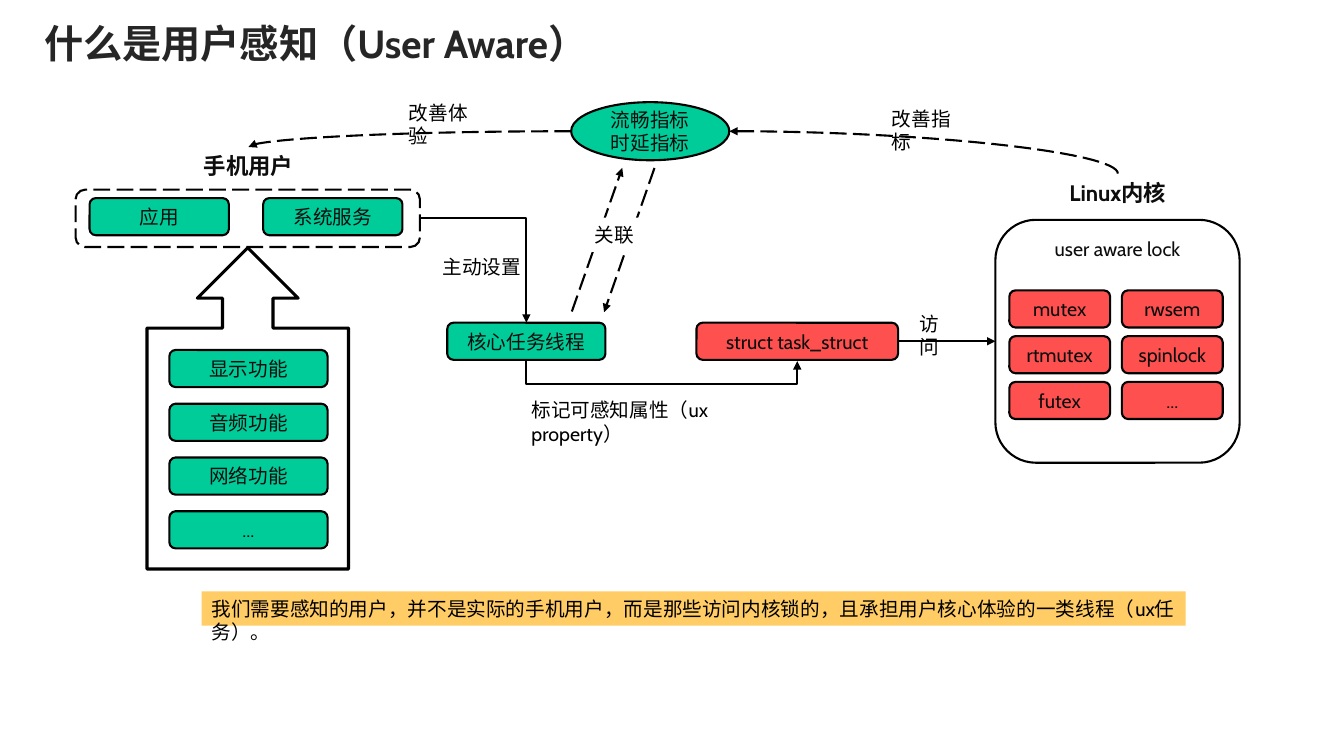
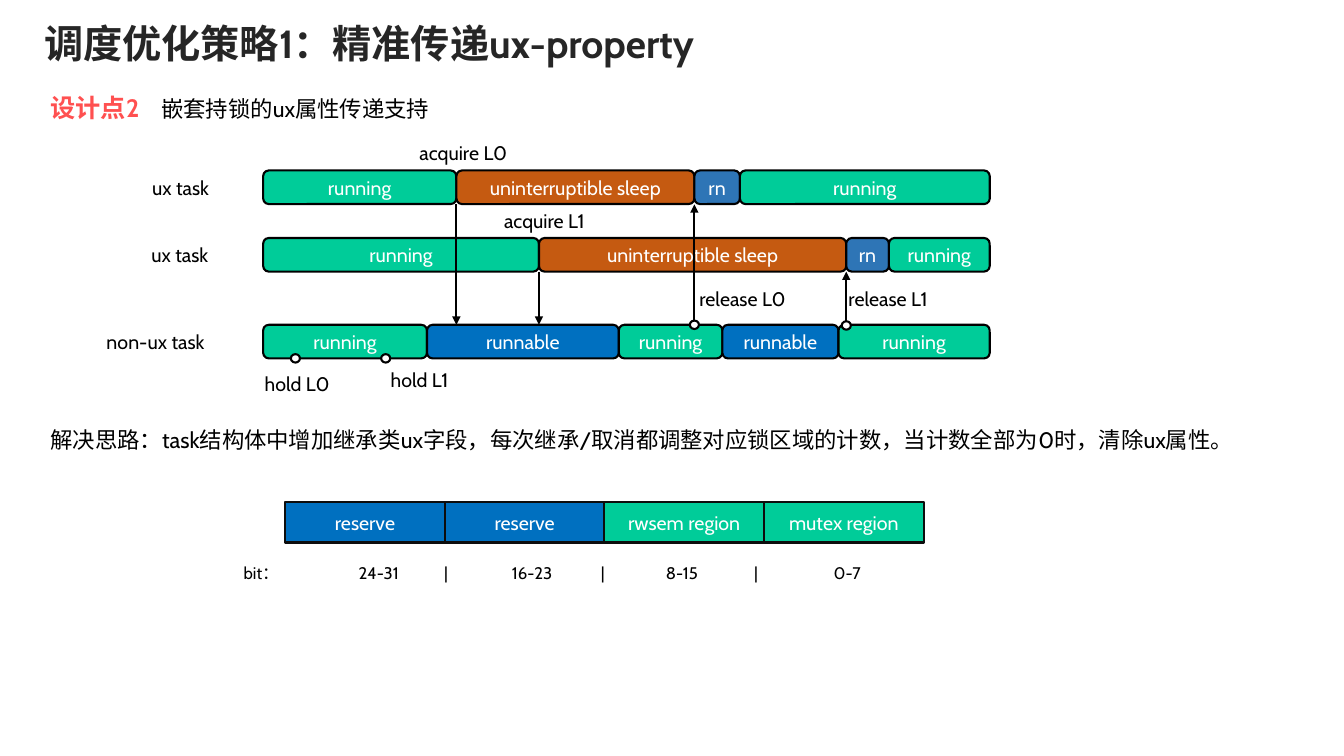
"""Build two slides on user-aware scheduling and the passing of the ux property."""
from lxml.etree import SubElement
from pptx import Presentation
from pptx.dml.color import RGBColor
from pptx.enum.dml import MSO_LINE
from pptx.enum.shapes import MSO_CONNECTOR, MSO_SHAPE
from pptx.enum.text import MSO_ANCHOR, PP_ALIGN
from pptx.oxml.ns import qn
from pptx.util import Pt

COLORS = {
    "black": "000000", "ink": "0D0D0D", "title": "262626", "white": "FFFFFF",
    "green": "00CC99", "red": "FF5050", "yellow": "FFCC66",
    "blue": "0070C0", "steel": "2E75B6", "brown": "C55A11",
}
FONT = "Cabin"
ROUND, RECT, OVAL = MSO_SHAPE.ROUNDED_RECTANGLE, MSO_SHAPE.RECTANGLE, MSO_SHAPE.OVAL
TOP, LEFT, BOTTOM, RIGHT = range(4)
OVAL_LEFT, OVAL_RIGHT = 2, 6

AWARE_TITLE = "什么是用户感知（User Aware）"
FUNCTIONS = ["显示功能", "音频功能", "网络功能", "..."]
SERVICES = ["应用", "系统服务"]
LOCKS = [("mutex", "rwsem"), ("rtmutex", "spinlock"), ("futex", "...")]
ARROW_LABELS = [
    ("主动设置", (309, 178.5, 71.5, 24.5)),
    ("标记可感知属性（ux property）", (372.5, 281, 201.5, 24.5)),
    ("访问", (650, 219, 41.8, 24.5)),
    ("改善指标", (630, 72.5, 68.4, 24.5)),
    ("改善体验", (285, 68.5, 68.4, 24.5)),
]
CONCLUSION = "我们需要感知的用户，并不是实际的手机用户，而是那些访问内核锁的，且承担用户核心体验的一类线程（ux任务）。"

PROPERTY_TITLE = "调度优化策略1：精准传递ux-property"
DESIGN_POINT = ("设计点2", "\t嵌套持锁的ux属性传递支持")
SOLUTION = "解决思路：task结构体中增加继承类ux字段，每次继承/取消都调整对应锁区域的计数，当计数全部为0时，清除ux属性。"
STATE_COLORS = {"running": "green", "uninterruptible sleep": "brown",
                "rn": "steel", "runnable": "blue"}
TIMELINES = [
    ("ux task", (101.5, 70), 121.75, [188, 326, 496, 528.5, 707],
     ["running", "uninterruptible sleep", "rn", "running"]),
    ("ux task", (101, 67), 170, [188, 385, 604.5, 635, 707],
     ["running", "uninterruptible sleep", "rn", "running"]),
    ("non-ux task", (69, 99.5), 232, [188, 305, 442, 516, 599, 707],
     ["running", "runnable", "running", "runnable", "running"]),
]
LOCK_ARROWS = [
    ((385, 194), (385, 232)), ((604.5, 232), (604.5, 194)),
    ((326, 146), (326, 232)), ((496, 232), (496, 146)),
]
LOCK_EVENTS = [
    ("hold L0", (182, 261.5, 66)), ("hold L1", (272, 259, 69)),
    ("release L0", (492.5, 201, 84)), ("release L1", (599, 201, 85)),
    ("acquire L0", (292.5, 96.5, 88)), ("acquire L1", (353, 145.5, 91)),
]
LOCK_DOTS = [(211, 256), (275.5, 256), (496, 232), (604.5, 232.5)]
REGIONS = [("reserve", "blue"), ("reserve", "blue"),
           ("rwsem region", "green"), ("mutex region", "green")]
BITS = ["bit：", "24-31", "|", "16-23", "|", "8-15", "|", "0-7"]
BIT_TABS = [96.5, 144.5, 206, 256.5, 313, 366, 431]


def rgb(name):
    """Return a named colour."""
    return RGBColor.from_string(COLORS[name])


def add_run(paragraph, text, size=14, color="ink", bold=False):
    """Append formatted text to a paragraph."""
    run = paragraph.add_run()
    run.text = text
    run.font.name, run.font.size, run.font.bold = FONT, Pt(size), bold
    run.font.color.rgb = rgb(color)


def add_tabs(paragraph, stops, align):
    """Give a paragraph its tab stops."""
    tab_list = SubElement(paragraph._p.get_or_add_pPr(), qn("a:tabLst"))
    for stop in stops:
        SubElement(tab_list, qn("a:tab"), pos=str(int(Pt(stop))), algn=align)


def add_text(slide, text, frame, preset=None, fill=None, line=None, weight=1.5, dash=None,
             align=PP_ALIGN.LEFT, anchor=MSO_ANCHOR.TOP, tabs=(), spacing=None, **font):
    """Add a text box, or a preset shape, holding formatted text."""
    place = [Pt(value) for value in frame]
    if preset is None:
        shape = slide.shapes.add_textbox(*place)
    else:
        shape = slide.shapes.add_shape(preset, *place)
        shape.shadow.inherit = False
        if fill:
            shape.fill.solid()
            shape.fill.fore_color.rgb = rgb(fill)
        else:
            shape.fill.background()
        if line:
            shape.line.color.rgb = rgb(line)
            shape.line.width = Pt(weight)
            shape.line.dash_style = dash
        else:
            shape.line.fill.background()
    body = shape.text_frame
    body.word_wrap = True
    body.vertical_anchor = anchor
    for number, words in enumerate(text.split("\n") if text else []):
        paragraph = body.add_paragraph() if number else body.paragraphs[0]
        if tabs:
            add_tabs(paragraph, tabs, "ctr")
        paragraph.alignment = align
        if spacing:
            paragraph.line_spacing = spacing
        add_run(paragraph, words, **font)
    return shape


def add_box(slide, text, frame, fill=None, preset=ROUND, line="black",
            anchor=MSO_ANCHOR.MIDDLE, **options):
    """Add an outlined shape with centred text."""
    return add_text(slide, text, frame, preset, fill, line, anchor=anchor,
                    align=PP_ALIGN.CENTER, **options)


def add_arrow(slide, start, end, geometry=None, joins=None, turn=None, bend=None, dash=None):
    """Add an arrow; turn names the flip of one that leaves its start vertically."""
    kind = MSO_CONNECTOR.ELBOW if geometry else MSO_CONNECTOR.STRAIGHT
    arrow = slide.shapes.add_connector(kind, *[Pt(value) for value in start + end])
    properties = arrow._element.spPr
    if geometry:
        preset = properties.find(qn("a:prstGeom"))
        preset.set("prst", geometry)
        if bend:
            guides = preset.find(qn("a:avLst"))
            if guides is None:
                guides = SubElement(preset, qn("a:avLst"))
            SubElement(guides, qn("a:gd"), name="adj1", fmla=f"val {bend}")
    if turn:
        width, height = abs(end[1] - start[1]), abs(end[0] - start[0])
        arrow.left = Pt((start[0] + end[0] - width) / 2)
        arrow.top = Pt((start[1] + end[1] - height) / 2)
        arrow.width, arrow.height = Pt(width), Pt(height)
        transform = properties.find(qn("a:xfrm"))
        for flip in ("flipH", "flipV"):
            transform.attrib.pop(flip, None)
        transform.set("rot", "16200000")
        transform.set(turn, "1")
    if joins:
        (source, source_side), (target, target_side) = joins
        if geometry:
            arrow._connect_begin_to(source, source_side)
            arrow._connect_end_to(target, target_side)
        else:
            arrow.begin_connect(source, source_side)
            arrow.end_connect(target, target_side)
    arrow.line.color.rgb = rgb("black")
    arrow.line.width = Pt(1.5)
    arrow.line.dash_style = dash
    SubElement(arrow.line._get_or_add_ln(), qn("a:tailEnd"), type="triangle")
    SubElement(properties, qn("a:effectLst"))


def add_slide(presentation, title, width):
    """Add a blank slide with its title."""
    slide = presentation.slides.add_slide(presentation.slide_layouts[6])
    add_text(slide, title, (24.5, 3, width, 55), anchor=MSO_ANCHOR.MIDDLE,
             size=28, color="title", bold=True)
    return slide


def build_aware_slide(presentation):
    """Show how phone users, key threads and kernel locks relate."""
    slide = add_slide(presentation, AWARE_TITLE, 450)
    dash = MSO_LINE.LONG_DASH
    phone = add_box(slide, "手机用户", (121, 105, 113, 27), line=None, size=16, bold=True)
    kernel = add_box(slide, "Linux内核", (742, 124, 113, 27), line=None, size=16, bold=True)
    for row, name in enumerate(FUNCTIONS):
        add_box(slide, name, (121, 250 + 38.4 * row, 113, 26.5), "green")
    for column, name in enumerate(SERVICES):
        add_box(slide, name, (64 + 124 * column, 141.5, 99.5, 26.5), "green")
    users = add_box(slide, "", (54, 135.5, 246, 41), dash=dash)
    thread = add_box(slide, "核心任务线程", (319.5, 230.5, 113, 26.5), "green")
    task = add_box(slide, "struct task_struct", (497.5, 230.5, 144, 26.5), "red")
    locks = add_box(slide, "user aware lock", (711, 157, 174.5, 173.5), anchor=MSO_ANCHOR.TOP)
    for row, names in enumerate(LOCKS):
        for column, name in enumerate(names):
            add_box(slide, name, (721 + 80.4 * column, 207.4 + 32.7 * row, 72, 26.5), "red")
    metrics = add_box(slide, "流畅指标\n时延指标", (408, 73, 113, 41.5), "green", OVAL)
    callout = add_box(slide, "", (105, 177, 144, 229.5), preset=MSO_SHAPE.UP_ARROW_CALLOUT,
                      weight=2.25)
    for number, value in enumerate((0.25, 0.25, 0.25, 0.75)):
        callout.adjustments[number] = value

    add_arrow(slide, (300, 156), (376, 230.5), "bentConnector2",
              ((users, RIGHT), (thread, TOP)))
    add_arrow(slide, (376, 257), (569.5, 258), "bentConnector3",
              ((thread, BOTTOM), (task, BOTTOM)), turn="flipH", bend=1750000)
    add_arrow(slide, (641.5, 243.75), (711, 243.75), joins=((task, RIGHT), (locks, LEFT)))
    add_arrow(slide, (408.5, 222.5), (444.5, 120), dash=dash)
    add_arrow(slide, (467.5, 120), (431.5, 223), dash=dash)
    add_arrow(slide, (798.5, 124), (521, 93.75), "curvedConnector2",
              ((kernel, TOP), (metrics, OVAL_RIGHT)), turn="flipV", dash=dash)
    add_arrow(slide, (408, 93.75), (177.5, 105), "curvedConnector2",
              ((metrics, OVAL_LEFT), (phone, TOP)), dash=dash)
    add_text(slide, "关联", (417.5, 155.5, 48.5, 24.5), RECT, "white", color="black")
    for text, frame in ARROW_LABELS:
        add_text(slide, text, frame, color="black")
    add_text(slide, CONCLUSION, (144, 422.5, 703, 24.5), RECT, "yellow", color="black")


def build_property_slide(presentation):
    """Show nested locks on three timelines and the counter regions."""
    slide = add_slide(presentation, PROPERTY_TITLE, 536)
    middle = {"anchor": MSO_ANCHOR.MIDDLE, "color": "black"}
    point = add_text(slide, "", (29, 62.5, 289.5, 29), anchor=MSO_ANCHOR.MIDDLE)
    paragraph = point.text_frame.paragraphs[0]
    add_tabs(paragraph, [79], "l")
    add_run(paragraph, DESIGN_POINT[0], size=18, color="red", bold=True)
    add_run(paragraph, DESIGN_POINT[1], size=16, color="black")

    for label, (left, width), top, edges, states in TIMELINES:
        add_text(slide, label, (left, top, width, 24.5), **middle)
        for start, end, state in zip(edges, edges[1:], states):
            add_box(slide, state, (start, top, end - start, 24), STATE_COLORS[state],
                    color="white")
    for start, end in LOCK_ARROWS:
        add_arrow(slide, start, end)
    for text, place in LOCK_EVENTS:
        add_text(slide, text, place + (24.5,), **middle)
    for x, y in LOCK_DOTS:
        add_box(slide, "", (x - 3.25, y - 3, 6.5, 6), "white", OVAL)

    add_text(slide, SOLUTION, (29, 301, 862, 26.5), size=16, **middle)
    for column, (name, fill) in enumerate(REGIONS):
        add_box(slide, name, (203.75 + 114 * column, 358.5, 114, 29), fill, RECT, "ink",
                color="white")
    add_text(slide, "\t".join(BITS), (167, 391.5, 497, 26.5), size=12, color="black",
             tabs=BIT_TABS, spacing=1.5)


def main():
    """Build and save the presentation."""
    presentation = Presentation()
    presentation.slide_width, presentation.slide_height = Pt(960), Pt(540)
    build_aware_slide(presentation)
    build_property_slide(presentation)
    presentation.save("out.pptx")


if __name__ == "__main__":
    main()
